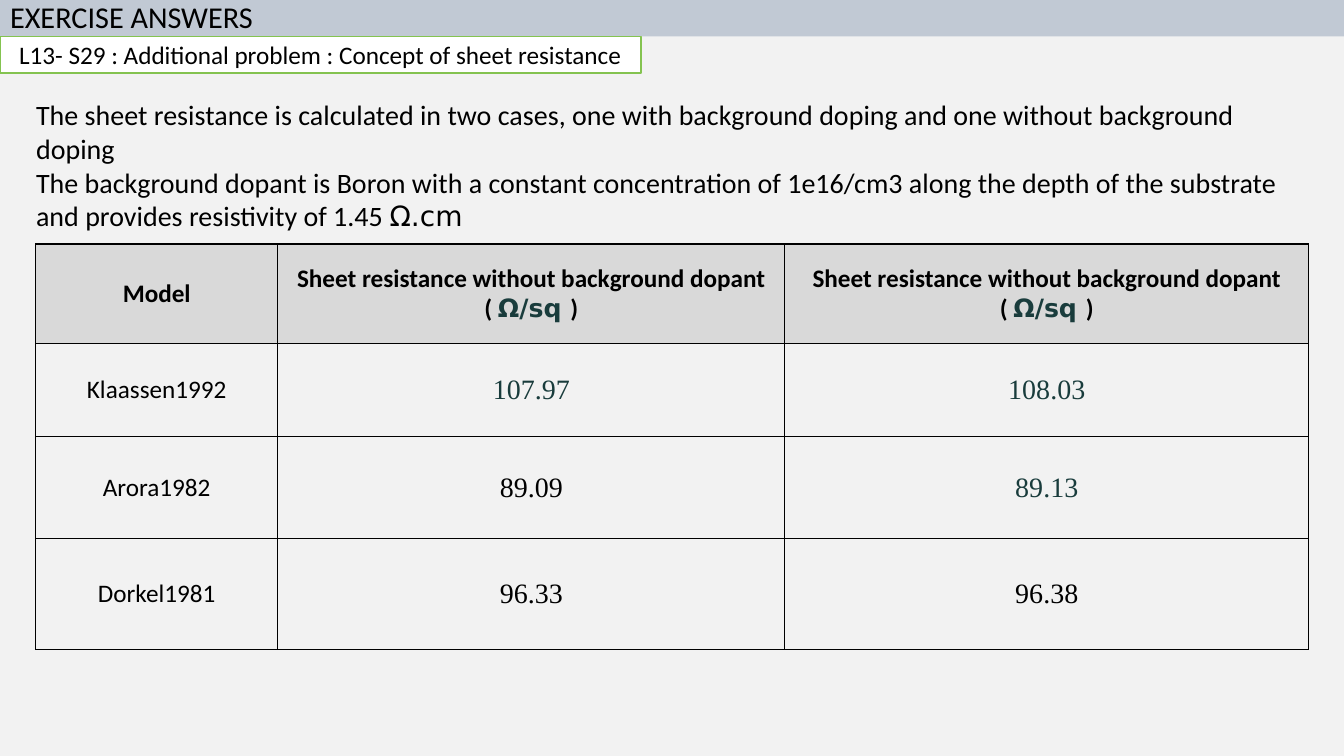
import dataclasses
import typing

import lxml.etree
import pptx
import pptx.dml.color
import pptx.enum.shapes
import pptx.enum.text
import pptx.oxml.ns
import pptx.util

Cm = pptx.util.Cm
ALIGN = pptx.enum.text.PP_ALIGN
MID = pptx.enum.text.MSO_ANCHOR.MIDDLE
HUES = {"back": "F2F2F2", "bar": "C1C9D4", "head": "D9D9D9", "teal": "193C3C",
        "black": "000000", "white": "FFFFFF", "green": "84C350"}
SANS, SERIF, OHM = "Calibri", "Times New Roman", "DejaVu Sans"


@dataclasses.dataclass
class Run:
    text: str
    size: float = 18
    face: str = SANS
    hue: str = "black"
    bold: bool = False


Lines = list[list[Run]]


def tint(hue: str) -> pptx.dml.color.RGBColor:
    return pptx.dml.color.RGBColor.from_string(HUES[hue])


def paint(fill: typing.Any, hue: str) -> None:
    fill.solid()
    fill.fore_color.rgb = tint(hue)


def write(frame: typing.Any, lines: Lines, align: typing.Any = ALIGN.LEFT) -> None:
    for i, line in enumerate(lines):
        para = frame.add_paragraph() if i else frame.paragraphs[0]
        para.alignment = align
        for part in line:
            run = para.add_run()
            run.text = part.text
            form = {"size": pptx.util.Pt(part.size), "name": part.face, "bold": part.bold}
            for key, val in form.items():
                setattr(run.font, key, val)
            run.font.color.rgb = tint(part.hue)


def place(shape: typing.Any, left: float, top: float, width: float, height: float) -> None:
    spots = {"left": left, "top": top, "width": width, "height": height}
    for key, val in spots.items():
        setattr(shape, key, Cm(val))


def edge(cell: typing.Any) -> None:
    props = cell._tc.get_or_add_tcPr()
    name = pptx.oxml.ns.qn
    for side in ("lnL", "lnR", "lnT", "lnB"):
        line = lxml.etree.SubElement(props, name(f"a:{side}"), w="12700")
        fill = lxml.etree.SubElement(line, name("a:solidFill"))
        lxml.etree.SubElement(fill, name("a:srgbClr"), val=HUES["black"])


def head(text: str) -> Run:
    return Run(text, bold=True)


def num(text: str, hue: str = "black") -> Lines:
    return [[Run(text, 20, SERIF, hue)]]


deck = pptx.Presentation()
deck.slide_width, deck.slide_height = Cm(33.87), Cm(19.05)
slide = deck.slides.add_slide(deck.slide_layouts[5])
paint(slide.background.fill, "back")

# Title bar
title = slide.shapes.title
place(title, 0, 0, 33.87, 0.92)
paint(title.fill, "bar")
frame = title.text_frame
frame.auto_size = pptx.enum.text.MSO_AUTO_SIZE.NONE
frame.vertical_anchor = MID
write(frame, [[Run("EXERCISE ANSWERS", 21.6)]])
frame.paragraphs[0].line_spacing = 0.9

# Results table
unit = [[head("Sheet resistance without background dopant")],
        [head("( "), Run("Ω/sq ", 18, OHM, "teal", True), head(")")]]
rows: list[list[Lines]] = [
    [[[head("Model")]], unit, unit],
    [[[Run("Klaassen1992")]], num("107.97", "teal"), num("108.03", "teal")],
    [[[Run("Arora1982")]], num("89.09"), num("89.13", "teal")],
    [[[Run("Dorkel1981")]], num("96.33"), num("96.38")],
]
wide = [6.1, 12.78, 13.2]
high = [2.51, 2.34, 2.57, 2.79]
table = slide.shapes.add_table(len(high), len(wide), Cm(0.9), Cm(6.15),
                               Cm(sum(wide)), Cm(sum(high))).table
for key in ("first_row", "horz_banding"):
    setattr(table, key, False)
for col, width in zip(table.columns, wide):
    col.width = Cm(width)
for r, row in enumerate(rows):
    table.rows[r].height = Cm(high[r])
    for c, lines in enumerate(row):
        cell = table.cell(r, c)
        cell.vertical_anchor = MID
        edge(cell)
        if r == 0:
            paint(cell.fill, "head")
        else:
            cell.fill.background()
        write(cell.text_frame, lines, ALIGN.CENTER)

# Explanation
note = slide.shapes.add_textbox(Cm(0.66), Cm(2.34), Cm(32.72), Cm(2.82))
note.text_frame.word_wrap = True
write(note.text_frame, [
    [Run("The sheet resistance is calculated in two cases, one with background "
         "doping and one without background doping", 20)],
    [Run("The background dopant is Boron with a constant concentration of 1e16/cm3 "
         "along the depth of the substrate and provides resistivity of 1.45 ", 20),
     Run("Ω.cm", 20, OHM)],
])

# Topic label
label = slide.shapes.add_shape(pptx.enum.shapes.MSO_SHAPE.RECTANGLE,
                               Cm(0), Cm(0.92), Cm(16.15), Cm(0.92))
label.shadow.inherit = False
paint(label.fill, "white")
paint(label.line.fill, "green")
label.line.width = pptx.util.Pt(1.25)
label.text_frame.vertical_anchor = MID
label.text_frame.word_wrap = True
write(label.text_frame,
      [[Run("L13- S29 : Additional problem : Concept of sheet resistance")]], ALIGN.CENTER)

deck.save("out.pptx")
